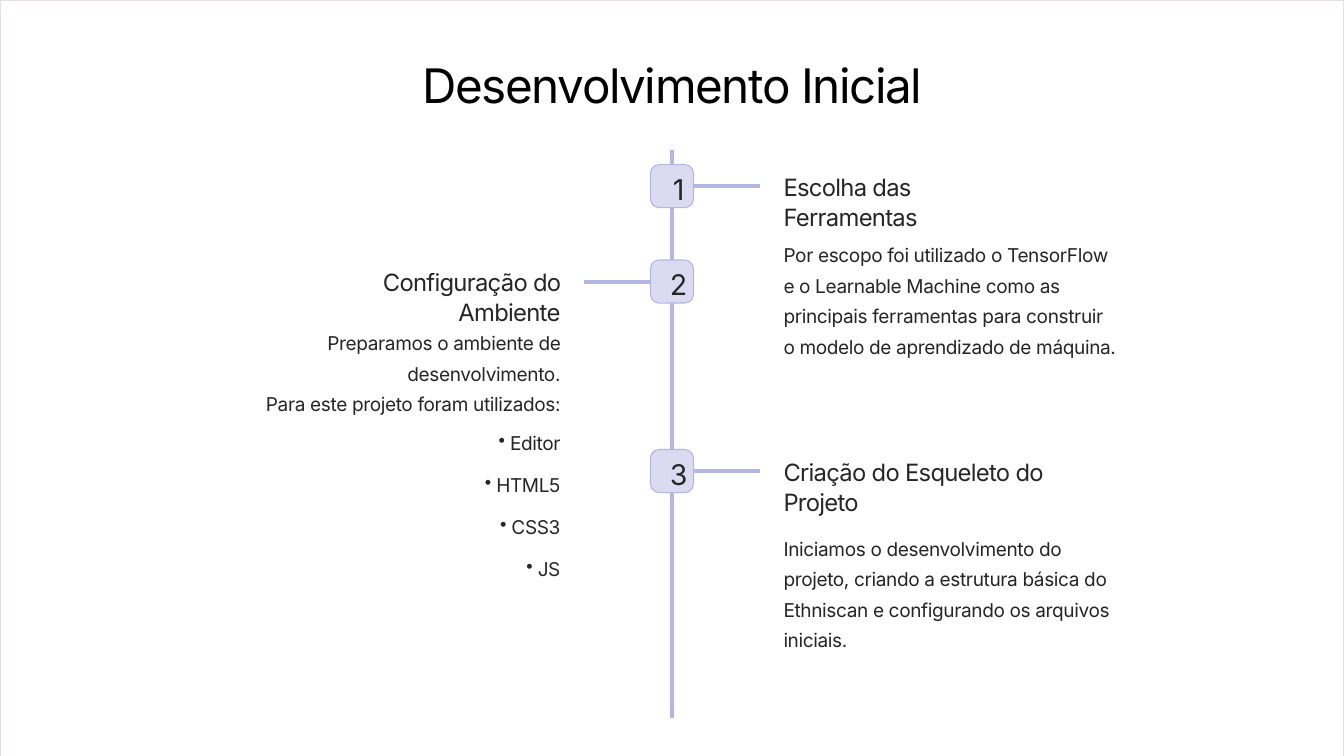
from lxml import etree
from pptx import Presentation
from pptx.dml import color
from pptx.enum import shapes, text
from pptx.oxml import ns
from pptx.util import Inches, Pt

FONT = "Inter"
INK = "272525"
LINE = "B5B7E3"
BADGE_FILL = "DADBF1"
BADGE = 0.64
ARM = 0.99
GAP = 0.35
SPINE_X = 10
LEFT, CENTER, RIGHT = text.PP_ALIGN.LEFT, text.PP_ALIGN.CENTER, text.PP_ALIGN.RIGHT

TITLE_STYLE = dict(size=51, spacing=-1.5, line=63.8, align=CENTER, ink="000000")
NUMBER_STYLE = dict(size=30.6, line=38.3, align=CENTER)
HEADING_STYLE = dict(size=25.5, spacing=-0.8, line=31.9)
BODY_STYLE = dict(size=20.4, line=32.7)
BULLET_STYLE = dict(size=20.4, line=36.8, before=8.2, bullet=True)

STEPS = [
    dict(top=2.45, side=1, heading="Escolha das Ferramentas", heading_width=3.9,
         body_offset=1.06, body_height=1.81,
         body=["Por escopo foi utilizado o TensorFlow e o Learnable Machine como as "
               "principais ferramentas para construir o modelo de aprendizado de máquina."]),
    dict(top=3.87, side=-1, heading="Configuração do Ambiente", heading_width=4.17,
         body_offset=0.95, body_height=1.32,
         body=["Preparamos o ambiente de desenvolvimento.",
               "Para este projeto foram utilizados:"],
         bullets=["Editor", "HTML5", "CSS3", "JS"]),
    dict(top=6.69, side=1, heading="Criação do Esqueleto do Projeto", heading_width=4.97,
         body_offset=1.19, body_height=1.35,
         body=["Iniciamos o desenvolvimento do projeto, criando a estrutura básica do "
               "Ethniscan e configurando os arquivos iniciais."]),
]


def rgb(value):
    return color.RGBColor.from_string(value)


def add_bullet(paragraph):
    properties = paragraph._p.get_or_add_pPr()
    properties.set("marL", str(Inches(0.34)))
    properties.set("indent", str(Inches(-0.17)))
    etree.SubElement(properties, ns.qn("a:buChar")).set("char", "•")


def write(frame, lines, size, line, spacing=-0.4, align=LEFT, ink=INK, before=0, bullet=False):
    frame.word_wrap = True
    frame.vertical_anchor = text.MSO_ANCHOR.TOP
    for index, content in enumerate(lines):
        paragraph = frame.add_paragraph() if index else frame.paragraphs[0]
        if bullet:
            add_bullet(paragraph)
        paragraph.alignment = align
        paragraph.line_spacing = Pt(line)
        if index and before:
            paragraph.space_before = Pt(before)
        run = paragraph.add_run()
        run.text = content
        run.font.name = FONT
        run.font.size = Pt(size)
        run.font.color.rgb = rgb(ink)
        run._r.get_or_add_rPr().set("spc", str(round(spacing * 100)))


def set_margins(frame, left=0, top=0):
    frame.margin_left, frame.margin_top = Inches(left), Inches(top)
    frame.margin_right = frame.margin_bottom = 0


def add_text(slide, box, lines, **style):
    frame = slide.shapes.add_textbox(*map(Inches, box)).text_frame
    set_margins(frame)
    write(frame, lines, **style)


def add_box(slide, kind, box, fill, outline, weight):
    shape = slide.shapes.add_shape(kind, *map(Inches, box))
    shape.shadow.inherit = False
    shape.fill.solid()
    shape.fill.fore_color.rgb = rgb(fill)
    shape.line.color.rgb = rgb(outline)
    shape.line.width = Pt(weight)
    return shape


def add_line(slide, start, end):
    connector = slide.shapes.add_connector(
        shapes.MSO_CONNECTOR.STRAIGHT, *map(Inches, (*start, *end)))
    connector.line.color.rgb = rgb(LINE)
    connector.line.width = Pt(4.2)
    etree.SubElement(connector._element.spPr, ns.qn("a:effectLst"))
    return connector


def add_badge(slide, top, number):
    box = (SPINE_X - BADGE / 2, top, BADGE, BADGE)
    badge = add_box(slide, shapes.MSO_SHAPE.ROUNDED_RECTANGLE, box, BADGE_FILL, LINE, 1.2)
    badge.adjustments[0] = 0.2
    set_margins(badge.text_frame, left=0.2, top=0.05)
    write(badge.text_frame, [str(number)], **NUMBER_STYLE)
    return badge


def add_step(slide, number, top, side, heading, heading_width,
             body_offset, body_height, body, bullets=()):
    badge = add_badge(slide, top, number)
    middle = top + BADGE / 2
    arm_start = SPINE_X + side * BADGE / 2
    arm_end = arm_start + side * ARM
    arm = add_line(slide, (arm_start, middle), (arm_end, middle))
    arm.begin_connect(badge, 3 if side > 0 else 1)

    edge = arm_end + side * GAP
    align = LEFT if side > 0 else RIGHT

    def place(offset, width, height):
        return (edge if side > 0 else edge - width, top + offset, width, height)

    add_text(slide, place(0.1, heading_width, 0.81), [heading], align=align, **HEADING_STYLE)
    add_text(slide, place(body_offset, 4.97, body_height), body, align=align, **BODY_STYLE)
    if bullets:
        add_text(slide, place(2.38, 4.52, 2.36), bullets, align=align, **BULLET_STYLE)


def add_timeline(slide, top, bottom):
    add_line(slide, (SPINE_X, top), (SPINE_X, bottom))
    for number, step in enumerate(STEPS, 1):
        add_step(slide, number, **step)


def main():
    presentation = Presentation()
    presentation.slide_width = Inches(20)
    presentation.slide_height = Inches(11.25)
    slide = presentation.slides.add_slide(presentation.slide_layouts[6])
    add_box(slide, shapes.MSO_SHAPE.RECTANGLE, (0, 0, 20, 11.47), "FFFFFF", "E5E0DF", 1.2)
    add_text(slide, (3.37, 0.8, 13.27, 0.88), ["Desenvolvimento Inicial"], **TITLE_STYLE)
    add_timeline(slide, 2.23, 10.69)
    presentation.save("out.pptx")


if __name__ == "__main__":
    main()
